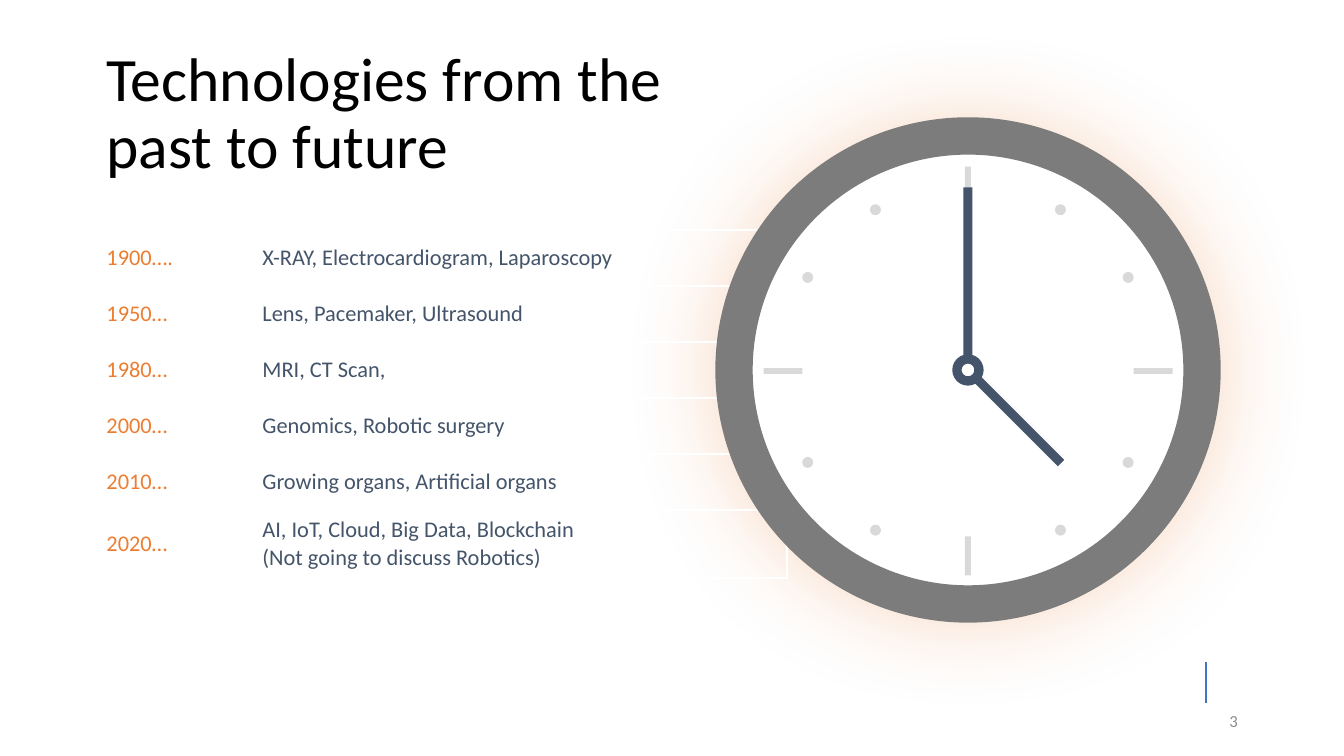
"""Build a slide with a timeline table of medical technologies beside a clock."""
import math

from lxml import etree
from pptx import Presentation
from pptx.dml import color
from pptx.enum import shapes, text
from pptx.oxml import ns
from pptx.util import Emu, Pt

EMU_PER_PX = 914400 / 134.4
CX, CY, DIAL_RADIUS = 968, 370, 185
ELLIPSE, RECT = shapes.MSO_SHAPE.OVAL, shapes.MSO_SHAPE.RECTANGLE
MIDDLE = text.MSO_ANCHOR.MIDDLE
LEFT, RIGHT = text.PP_ALIGN.LEFT, text.PP_ALIGN.RIGHT
WHITE, BLACK, RING, TICK = "FFFFFF", "000000", "7C7C7C", "D9D9D9"
NAVY, ORANGE, BLUE, GREY = "44546A", "ED7D31", "4472C4", "8C8C8C"

TIMELINE = [
    ("1900….", "X-RAY, Electrocardiogram, Laparoscopy"),
    ("1950…", "Lens, Pacemaker, Ultrasound"),
    ("1980…", "MRI, CT Scan,"),
    ("2000…", "Genomics, Robotic surgery"),
    ("2010…", "Growing organs, Artificial organs"),
    ("2020…", "AI, IoT, Cloud, Big Data, Blockchain\n(Not going to discuss Robotics)"),
]


def px(n):
    return Emu(round(n * EMU_PER_PX))


def rgb(value):
    return color.RGBColor.from_string(value)


def write(tf, content, size=12, hue=BLACK, align=LEFT, spacing=None):
    tf.text = content
    tf.word_wrap = True
    for p in tf.paragraphs:
        p.alignment = align
        p.line_spacing = spacing
        p.font.name, p.font.size = "Calibri", Pt(size)
        p.font.color.rgb = rgb(hue)


class Deck:
    def __init__(self, width, height):
        self.prs = Presentation()
        self.prs.slide_width, self.prs.slide_height = px(width), px(height)
        self.s = self.prs.slides.add_slide(self.prs.slide_layouts[5])

    def title(self, content, x, y, w, h):
        sp = self.s.shapes.title
        sp.left, sp.top, sp.width, sp.height = map(px, (x, y, w, h))
        sp.text_frame.vertical_anchor = MIDDLE
        write(sp.text_frame, content, size=33, spacing=0.9)

    def label(self, content, x, y, w, h, **fmt):
        tf = self.s.shapes.add_textbox(*map(px, (x, y, w, h))).text_frame
        tf.vertical_anchor = MIDDLE
        write(tf, content, **fmt)

    def line(self, x1, y1, x2, y2, hue):
        ln = self.s.shapes.add_connector(
            shapes.MSO_CONNECTOR.STRAIGHT, *map(px, (x1, y1, x2, y2)))
        ln.line.color.rgb, ln.line.width = rgb(hue), Pt(1)
        etree.SubElement(ln._element.spPr, ns.qn("a:effectLst"))

    def shape(self, kind, cx, cy, w, h, fill=None, line=None, weight=1, angle=0):
        sp = self.s.shapes.add_shape(
            kind, *map(px, (cx - w / 2, cy - h / 2, w, h)))
        sp.rotation = angle
        sp.shadow.inherit = False
        if fill:
            sp.fill.solid()
            sp.fill.fore_color.rgb = rgb(fill)
        else:
            sp.fill.background()
        if line:
            sp.line.color.rgb, sp.line.width = rgb(line), Pt(weight)
        else:
            sp.line.fill.background()
        return sp

    def glow(self, sp, hue, opacity, blur):
        effects = sp._element.spPr.find(ns.qn("a:effectLst"))
        shadow = etree.SubElement(effects, ns.qn("a:outerShdw"),
                                  blurRad=str(Pt(blur)), algn="ctr", rotWithShape="0")
        tint = etree.SubElement(shadow, ns.qn("a:srgbClr"), val=hue)
        etree.SubElement(tint, ns.qn("a:alpha"), val=str(opacity * 1000))

    def table(self, rows, x, y, widths, row_height, hues):
        table = self.s.shapes.add_table(
            len(rows), len(widths), px(x), px(y),
            px(sum(widths)), px(row_height * len(rows))).table
        table.first_row = table.horz_banding = False
        for column, width in zip(table.columns, widths):
            column.width = px(width)
        for r, row in enumerate(rows):
            for c, content in enumerate(row):
                cell = table.cell(r, c)
                cell.fill.background()
                cell.vertical_anchor = MIDDLE
                write(cell.text_frame, content, hue=hues[c])


def draw_dial(deck):
    for hour in range(12):
        angle = hour * 30
        x = CX + DIAL_RADIUS * math.sin(math.radians(angle))
        y = CY - DIAL_RADIUS * math.cos(math.radians(angle))
        if hour % 3:
            deck.shape(ELLIPSE, x, y, 11, 11, fill=TICK)
        else:
            deck.shape(RECT, x, y + 1, 6, 39, fill=TICK, angle=angle % 180)


def main():
    deck = Deck(1344, 756)
    deck.line(1206, 703, 1206, 662, BLUE)
    face = deck.shape(ELLIPSE, CX, CY + 1, 504, 503, fill=WHITE)
    deck.glow(face, ORANGE, opacity=30, blur=50)
    deck.table(TIMELINE, 93, 230, (156, 538), 56, (ORANGE, NAVY))
    deck.title("Technologies from the past to future", 93, 42, 669, 146)
    deck.label("3", 949, 701, 302, 40, size=9, hue=GREY, align=RIGHT)
    draw_dial(deck)
    deck.shape(ELLIPSE, CX, CY, 468, 468, line=RING, weight=20)
    deck.shape(RECT, CX, CY - 97, 9, 171, fill=NAVY)
    deck.shape(ELLIPSE, CX, CY, 22, 22, fill=WHITE, line=NAVY, weight=5)
    deck.shape(RECT, CX + 50, CY + 50, 9, 122, fill=NAVY, angle=315)
    deck.prs.save("out.pptx")


if __name__ == "__main__":
    main()
